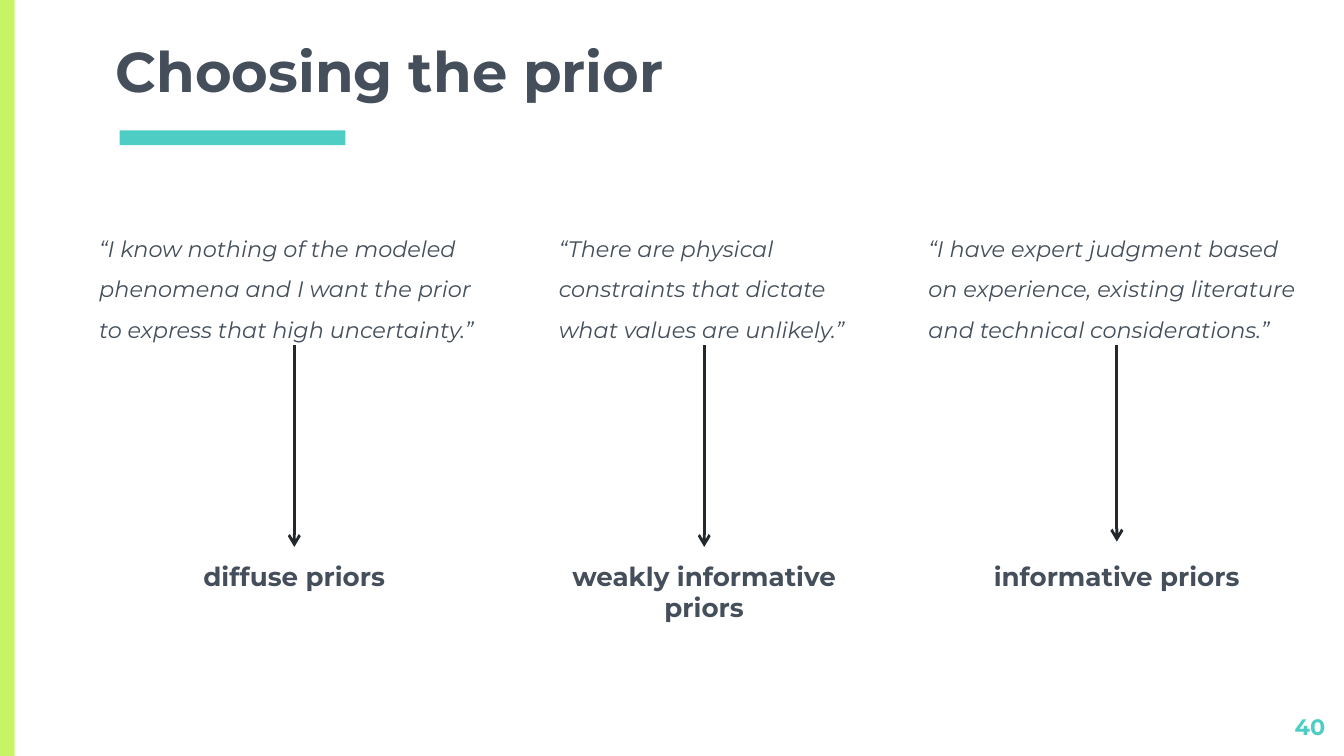
from lxml import etree
from pptx import Presentation
from pptx.dml.color import RGBColor
from pptx.enum.shapes import MSO_CONNECTOR, MSO_SHAPE
from pptx.enum.text import MSO_ANCHOR, PP_ALIGN
from pptx.oxml.ns import qn
from pptx.util import Pt

PX = 4572
FONT = "Montserrat"
INSET = 20
SLIDE_W, SLIDE_H = 2000, 1125
QUOTE_TOP, QUOTE_H = 310, 202
ARROW_TOP, LABEL_TOP, LABEL_H = 514, 814, 94
COLORS = {"text": "454F5B", "teal": "4ECDC4", "lime": "C7F464", "arrow": "23282D"}
RECTANGLE = MSO_SHAPE.RECTANGLE
STRAIGHT = MSO_CONNECTOR.STRAIGHT
TOP, BOTTOM = MSO_ANCHOR.TOP, MSO_ANCHOR.BOTTOM
LEFT, CENTER, RIGHT = PP_ALIGN.LEFT, PP_ALIGN.CENTER, PP_ALIGN.RIGHT

PRIORS = [
    {"quote": "“I know nothing of the modeled phenomena and I want the prior "
              "to express that high uncertainty.”",
     "quote_left": 128, "quote_w": 620, "center": 438, "arrow_end": 814,
     "label": "diffuse priors", "label_w": 356},
    {"quote": "“There are physical constraints that dictate what values are unlikely.”",
     "quote_left": 812, "quote_w": 474, "center": 1048, "arrow_end": 814,
     "label": "weakly informative priors", "label_w": 552},
    {"quote": "“I have expert judgment based on experience, existing literature "
              "and technical considerations.”",
     "quote_left": 1362, "quote_w": 598, "center": 1662, "arrow_end": 806,
     "label": "informative priors", "label_w": 552},
]


def px(*lengths):
    """Turn px lengths into EMU."""
    return [length * PX for length in lengths]


def add_bar(slide, box, color):
    """Add a plain filled rectangle."""
    bar = slide.shapes.add_shape(RECTANGLE, *px(*box))
    bar.shadow.inherit = False
    bar.fill.solid()
    bar.fill.fore_color.rgb = RGBColor.from_string(COLORS[color])
    bar.line.fill.background()


def add_text(slide, box, text, size, color="text", bold=False, italic=False,
             align=LEFT, anchor=TOP, spacing=None):
    """Add a wrapped text box with one styled paragraph."""
    frame = slide.shapes.add_textbox(*px(*box)).text_frame
    frame.word_wrap = True
    frame.vertical_anchor = anchor
    frame.margin_left = frame.margin_right = INSET * PX
    frame.margin_top = frame.margin_bottom = INSET * PX
    frame.text = text
    paragraph = frame.paragraphs[0]
    paragraph.alignment = align
    paragraph.line_spacing = spacing
    font = paragraph.runs[0].font
    font.name = FONT
    font.size = Pt(size)
    font.bold = bold
    font.italic = italic
    font.color.rgb = RGBColor.from_string(COLORS[color])


def add_arrow(slide, x, top, bottom):
    """Add a vertical arrow pointing down."""
    arrow = slide.shapes.add_connector(STRAIGHT, *px(x, top, x, bottom))
    arrow.line.color.rgb = RGBColor.from_string(COLORS["arrow"])
    arrow.line.width = Pt(1.5)
    properties = arrow._element.spPr
    etree.SubElement(properties.find(qn("a:ln")), qn("a:tailEnd"), type="arrow")
    etree.SubElement(properties, qn("a:effectLst"))


def add_prior(slide, prior):
    """Add one column: quote, arrow and kind of prior."""
    add_text(slide, (prior["quote_left"], QUOTE_TOP, prior["quote_w"], QUOTE_H),
             prior["quote"], 12, italic=True, spacing=1.5)
    add_arrow(slide, prior["center"], ARROW_TOP, prior["arrow_end"])
    label_left = prior["center"] - prior["label_w"] // 2
    add_text(slide, (label_left, LABEL_TOP, prior["label_w"], LABEL_H),
             prior["label"], 14, bold=True, align=CENTER)


def main():
    """Build and save the slide."""
    presentation = Presentation()
    presentation.slide_width, presentation.slide_height = px(SLIDE_W, SLIDE_H)
    slide = presentation.slides.add_slide(presentation.slide_layouts[6])
    add_bar(slide, (178, 194, 336, 22), "teal")
    add_bar(slide, (0, 0, 22, SLIDE_H), "lime")
    add_text(slide, (152, -37, 1698, 212), "Choosing the prior", 30,
             bold=True, anchor=BOTTOM)
    for prior in PRIORS:
        add_prior(slide, prior)
    add_text(slide, (1872, 1041, 120, 68), "40", 12, "teal", bold=True, align=RIGHT)
    presentation.save("out.pptx")


if __name__ == "__main__":
    main()
